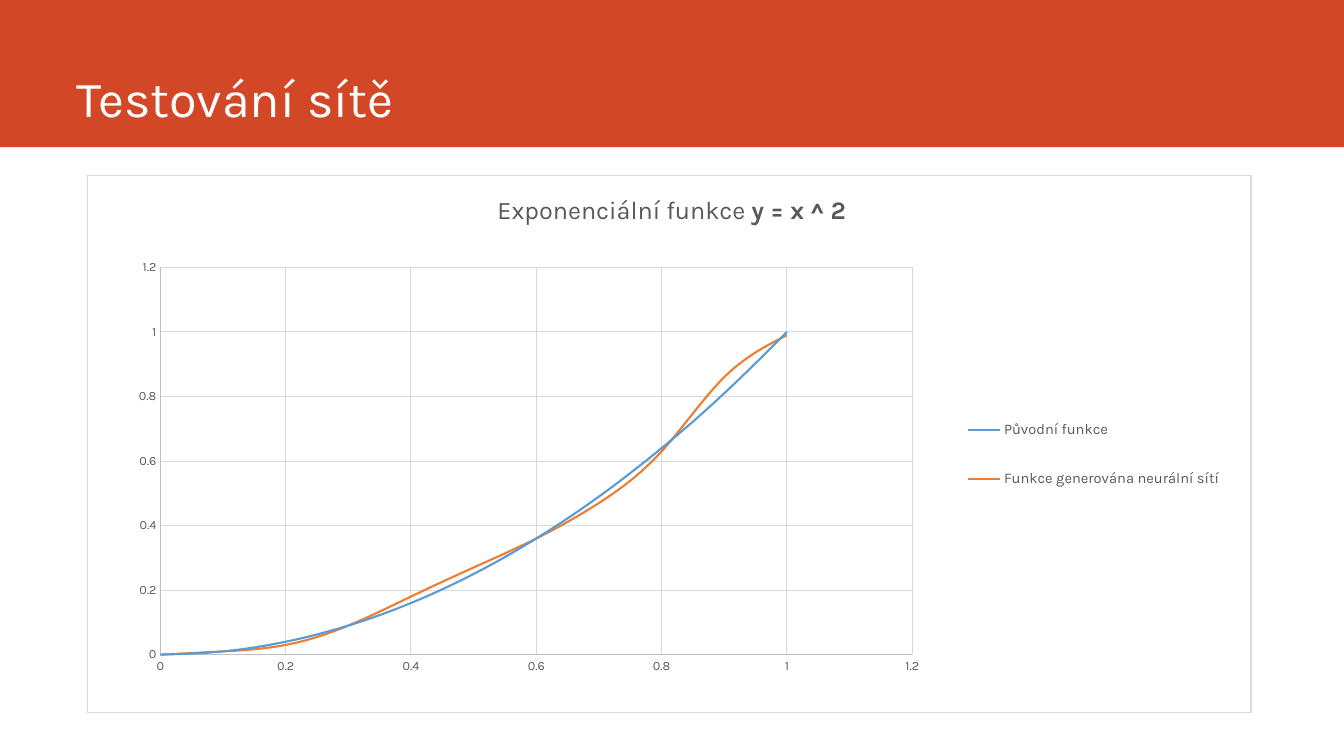
from dataclasses import dataclass

from lxml.etree import SubElement
from pptx import Presentation
from pptx.chart.data import XyChartData
from pptx.dml.color import RGBColor
from pptx.enum.chart import XL_CHART_TYPE, XL_LEGEND_POSITION, XL_MARKER_STYLE, XL_TICK_MARK
from pptx.enum.shapes import MSO_SHAPE
from pptx.enum.text import MSO_ANCHOR, MSO_AUTO_SIZE, PP_ALIGN
from pptx.oxml import parse_xml
from pptx.oxml.ns import nsdecls, qn
from pptx.util import Cm, Pt


@dataclass(frozen=True)
class Theme:
    """Colours, font and type sizes of the slide."""
    font: str = "Karla"
    band: str = "D24726"
    white: str = "FFFFFF"
    text: str = "595959"
    axis: str = "BFBFBF"
    grid: str = "D9D9D9"
    series: tuple = ("5B9BD5", "ED7D31")
    title: float = 36
    chart_title: float = 18
    legend: float = 10.5
    ticks: float = 9
    thin: float = 0.75
    curve: float = 1.5


THEME = Theme()
X_VALUES = [i / 10 for i in range(11)]
CURVES = {
    "Původní funkce": [round(x * x, 2) for x in X_VALUES],
    "Funkce generována neurální sítí":
        [0, 0.01, 0.03, 0.09, 0.18, 0.27, 0.36, 0.47, 0.63, 0.86, 0.99],
}


def style_font(font, size, color, bold=False):
    """Apply the theme font with a size and colour."""
    font.name, font.size, font.bold = THEME.font, Pt(size), bold
    font.color.rgb = RGBColor.from_string(color)


def style_line(line, color, width):
    """Give a line a solid colour and a width in points."""
    line.color.rgb = RGBColor.from_string(color)
    line.width = Pt(width)


def place(chart, part, index, target=None, **box):
    """Set a manual layout, in fractions of the chart, on a chart part."""
    element = next(chart.element.iter(qn(f"c:{part}")))
    for old in element.findall(qn("c:layout")):
        element.remove(old)
    layout = parse_xml(f"<c:layout {nsdecls('c')}/>")
    manual = SubElement(layout, qn("c:manualLayout"))
    settings = {"layoutTarget": target} if target else {}
    settings.update(xMode="edge", yMode="edge", **box)
    for tag, value in settings.items():
        SubElement(manual, qn(f"c:{tag}")).set("val", str(value))
    element.insert(index, layout)


def add_header(s, text, left, top, width, height):
    """Fill the box with a coloured band and set the title on it."""
    band = s.shapes.add_shape(MSO_SHAPE.RECTANGLE, left, top, width, height)
    band.shadow.inherit = False
    band.fill.solid()
    band.fill.fore_color.rgb = RGBColor.from_string(THEME.band)
    band.line.fill.background()

    title = s.shapes.title
    title.element.addprevious(band.element)
    title.left, title.top = left + Cm(1.68), top
    title.width, title.height = width - Cm(4), height - Cm(0.36)
    tf = title.text_frame
    tf.text = text
    tf.auto_size = MSO_AUTO_SIZE.NONE
    tf.vertical_anchor = MSO_ANCHOR.BOTTOM
    p = tf.paragraphs[0]
    p.alignment = PP_ALIGN.LEFT
    style_font(p.font, THEME.title, THEME.white)


def style_axis(axis):
    """Format one value axis running from 0 to 1.2."""
    axis.minimum_scale, axis.maximum_scale, axis.major_unit = 0, 1.2, 0.2
    axis.major_tick_mark = axis.minor_tick_mark = XL_TICK_MARK.NONE
    axis.has_major_gridlines = True
    style_line(axis.major_gridlines.format.line, THEME.grid, THEME.thin)
    style_line(axis.format.line, THEME.axis, THEME.thin)
    axis.tick_labels.number_format = "General"
    axis.tick_labels.number_format_is_linked = False
    style_font(axis.tick_labels.font, THEME.ticks, THEME.text)


def add_chart_title(chart):
    """Write the chart title with the formula in bold."""
    chart.has_title = True
    title = chart.chart_title
    p = title.text_frame.paragraphs[0]
    for text, bold in (("Exponenciální funkce ", False), ("y = x ^ 2", True)):
        r = p.add_run()
        r.text = text
        style_font(r.font, THEME.chart_title, THEME.text, bold)
    title.include_in_layout = False
    place(chart, "title", 1, x=0.35, y=0.03)


def add_legend(chart):
    """Put the legend to the right of the plot."""
    chart.has_legend = True
    legend = chart.legend
    legend.position = XL_LEGEND_POSITION.RIGHT
    legend.include_in_layout = False
    style_font(legend.font, THEME.legend, THEME.text)
    place(chart, "legend", 1, x=0.75, y=0.4, w=0.23, h=0.24)


def add_frame(chart):
    """Outline the chart area."""
    frame = parse_xml(
        f'<c:spPr {nsdecls("c", "a")}><a:noFill/><a:ln w="{Pt(THEME.thin)}"><a:solidFill>'
        f'<a:srgbClr val="{THEME.grid}"/></a:solidFill></a:ln></c:spPr>')
    chart.element.find(qn("c:chart")).addnext(frame)


def add_curves(s, left, top, width, height):
    """Chart both functions as smooth lines in the box."""
    data = XyChartData()
    for name, values in CURVES.items():
        series = data.add_series(name)
        for x, y in zip(X_VALUES, values):
            series.add_data_point(x, y)
    chart = s.shapes.add_chart(XL_CHART_TYPE.XY_SCATTER_SMOOTH_NO_MARKERS,
                               left, top, width, height, data).chart
    style_font(chart.font, THEME.ticks, THEME.text)
    plot = chart.plots[0]
    plot.vary_by_categories = False
    for series, color in zip(plot.series, THEME.series):
        style_line(series.format.line, color, THEME.curve)
        series.marker.style = XL_MARKER_STYLE.NONE
    for smooth in chart.element.iter(qn("c:smooth")):
        smooth.set("val", "1")
    for axis in (chart.category_axis, chart.value_axis):
        style_axis(axis)
    add_chart_title(chart)
    add_legend(chart)
    add_frame(chart)
    place(chart, "plotArea", 0, "inner", x=0.063, y=0.172, w=0.646, h=0.721)


def main():
    """Build and save the slide."""
    prs = Presentation()
    prs.slide_width, prs.slide_height = Cm(33.87), Cm(19.05)
    s = prs.slides.add_slide(prs.slide_layouts[5])
    add_header(s, "Testování sítě", 0, 0, prs.slide_width, Cm(3.71))
    add_curves(s, Cm(2.18), Cm(4.4), Cm(29.36), Cm(13.56))
    prs.save("out.pptx")


main()
